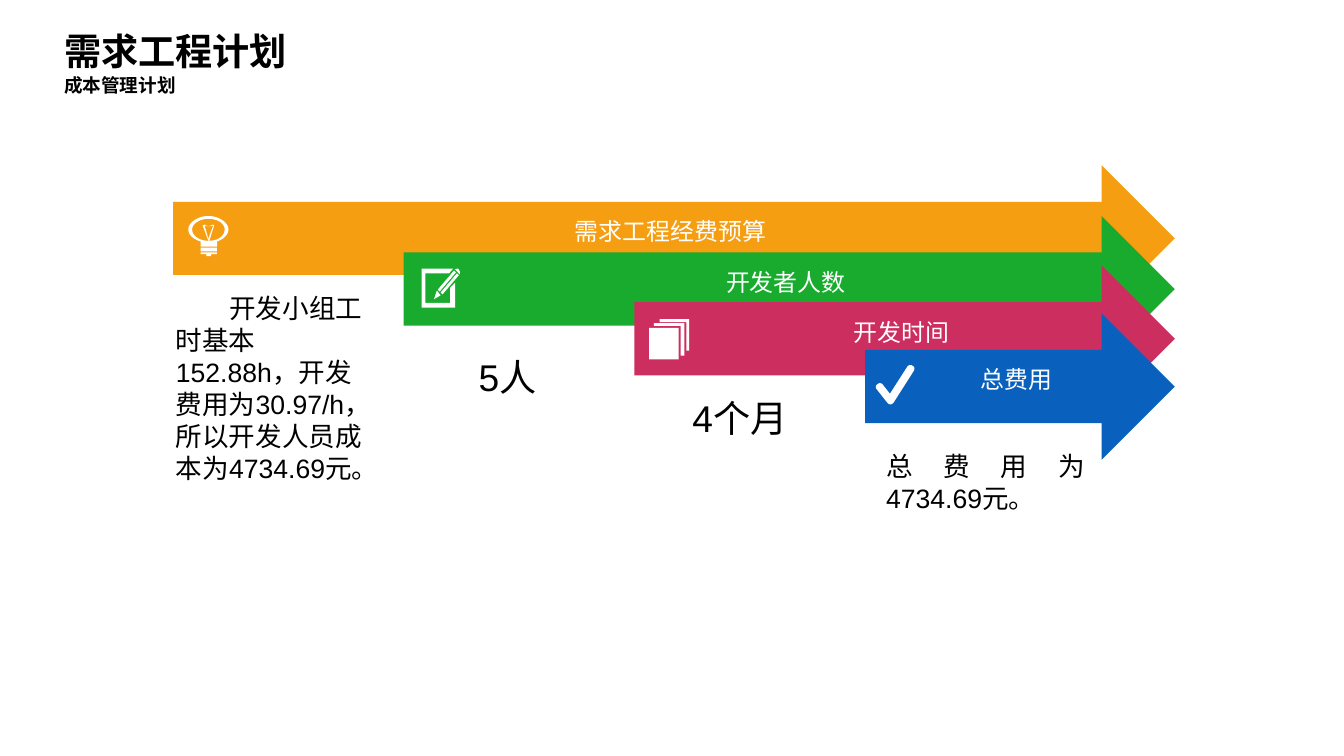
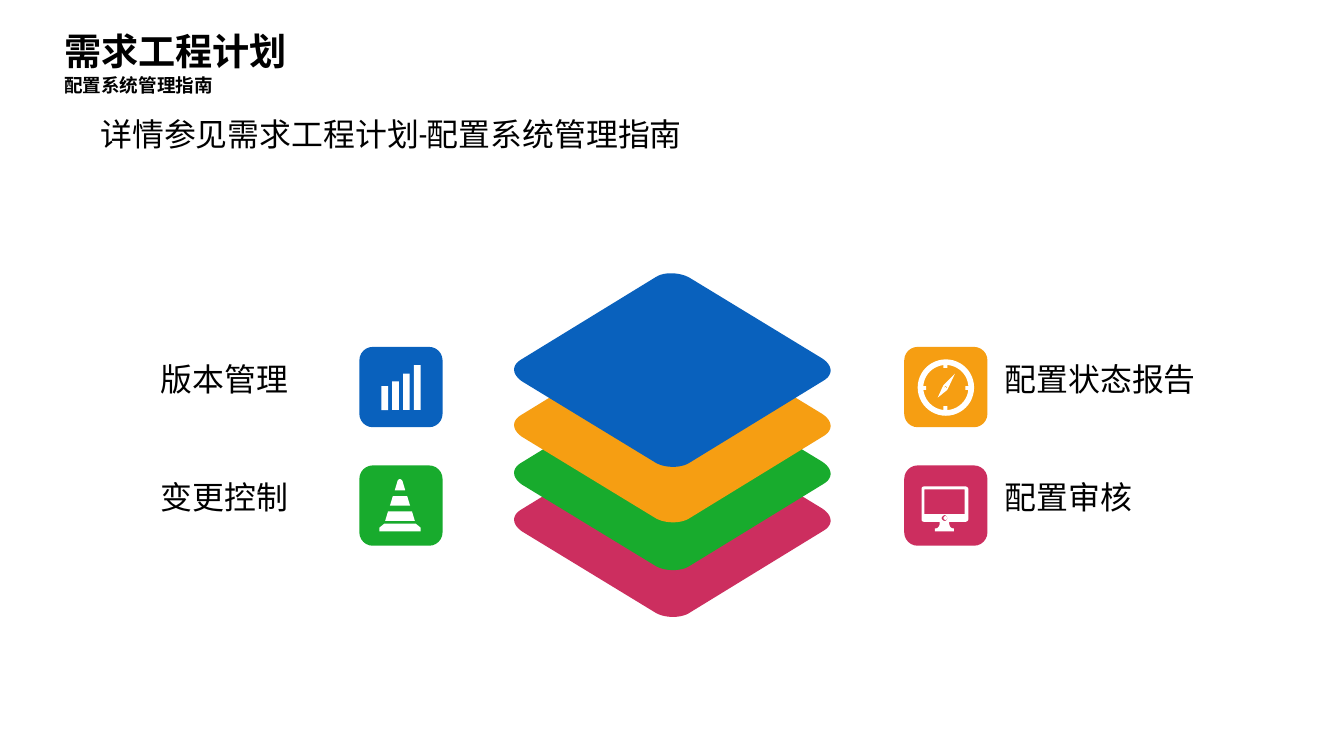
"""Build two slides on the cost and configuration plans of a requirements project."""
import dataclasses
import typing

import lxml.etree
import pptx
import pptx.dml.color
import pptx.enum.shapes
import pptx.enum.text
import pptx.oxml.ns
import pptx.util

Inches = pptx.util.Inches
RGBColor = pptx.dml.color.RGBColor
Shape = pptx.enum.shapes.MSO_SHAPE
Align = pptx.enum.text.PP_ALIGN
Anchor = pptx.enum.text.MSO_ANCHOR
AutoSize = pptx.enum.text.MSO_AUTO_SIZE

BLACK = RGBColor(0x00, 0x00, 0x00)
WHITE = RGBColor(0xFF, 0xFF, 0xFF)
ORANGE = RGBColor(0xF6, 0x9E, 0x12)
GREEN = RGBColor(0x18, 0xAB, 0x2D)
CRIMSON = RGBColor(0xCC, 0x2E, 0x5F)
BLUE = RGBColor(0x09, 0x61, 0xBD)

Contour = list[tuple[float, ...]]
Box = tuple[float, float, float, float]


@dataclasses.dataclass(frozen=True)
class TextStyle:
    size: float
    colour: RGBColor = BLACK
    bold: bool = False
    font: str = "Arial"
    align: Align = Align.LEFT
    spacing: float = 1.0
    indent: float = 0


@dataclasses.dataclass(frozen=True)
class Outline:
    contours: list[Contour]


@dataclasses.dataclass(frozen=True)
class Block:
    kind: Shape
    box: Box
    adjustment: float | None = None


@dataclasses.dataclass(frozen=True)
class CostStep:
    label: str
    arrow_top: float
    colour: RGBColor
    icon: list[Outline | Block]
    detail: str
    detail_box: Box
    detail_style: TextStyle


@dataclasses.dataclass(frozen=True)
class Topic:
    label: str
    label_left: float
    label_width: float
    badge_left: float
    top: float
    colour: RGBColor
    icon: list[Outline | Block]


HEADING = TextStyle(28, bold=True)
SUBHEADING = TextStyle(14, bold=True)
ARROW_LABEL = TextStyle(18, WHITE, align=Align.CENTER, spacing=1.2)
FIGURE = TextStyle(28, align=Align.CENTER, spacing=1.2)
TOPIC_LABEL = TextStyle(24, align=Align.JUSTIFY, spacing=1.2)
REFERENCE = TextStyle(24, font="Roboto Condensed")

NO_MARGINS: Box = (0, 0, 0, 0)
BOX_MARGINS: Box = (0.11, 0.05, 0.11, 0.05)
ARROW_MARGINS: Box = (0.59, 0, 0.28, 0.21)
ARROW_LEFT, ARROW_LAST, ARROW_TIP, ARROW_HEIGHT = 1.81, 9.05, 12.29, 1.53
BADGE_WIDTH, BADGE_HEIGHT = 0.87, 0.84

BULB = [
    Outline([
        [(2.39, 2.4), (2.39, 2.33, 2.29, 2.26, 2.18, 2.26), (2.07, 2.26, 1.97, 2.33, 1.97, 2.4),
         (1.97, 2.46, 2.03, 2.51, 2.11, 2.53), (2.1, 2.53), (2.1, 2.58), (2.27, 2.58),
         (2.27, 2.53), (2.26, 2.53), (2.33, 2.51, 2.39, 2.46, 2.39, 2.4)],
        [(2.18, 2.52), (2.09, 2.52, 2.01, 2.47, 2.01, 2.4), (2.01, 2.34, 2.09, 2.29, 2.18, 2.29),
         (2.28, 2.29, 2.35, 2.34, 2.35, 2.4), (2.35, 2.47, 2.28, 2.52, 2.18, 2.52)],
    ]),
    Block(Shape.RECTANGLE, (2.1, 2.59, 0.17, 0.04)),
    Outline([[(2.1, 2.66), (2.16, 2.66), (2.16, 2.68), (2.21, 2.68), (2.21, 2.66),
              (2.27, 2.66), (2.27, 2.64), (2.1, 2.64)]]),
    Outline([
        [(2.24, 2.36), (2.23, 2.35), (2.18, 2.37), (2.14, 2.35), (2.12, 2.36),
         (2.18, 2.52), (2.19, 2.52)],
        [(2.18, 2.5), (2.14, 2.36), (2.18, 2.37), (2.23, 2.36)],
    ]),
]
PENCIL = [
    Outline([[(4.61, 3.09), (4.57, 3.04), (4.54, 3.13)]]),
    Outline([[(4.75, 2.83), (4.58, 3.03), (4.6, 3.05), (4.77, 2.85)]]),
    Outline([[(4.61, 3.06), (4.63, 3.08), (4.8, 2.88), (4.78, 2.86)]]),
    Outline([[(4.8, 2.82), (4.79, 2.8, 4.76, 2.82, 4.76, 2.82), (4.81, 2.87),
              (4.81, 2.87, 4.82, 2.85, 4.8, 2.82)]]),
    Outline([[(4.71, 3.17), (4.45, 3.17), (4.45, 2.86), (4.7, 2.86), (4.74, 2.81), (4.41, 2.81),
              (4.41, 3.22), (4.76, 3.22), (4.76, 2.96), (4.71, 3.01)]]),
]
SHEETS = [
    Outline([[(6.84, 3.41), (7.12, 3.41), (7.12, 3.72), (7.16, 3.72), (7.16, 3.38), (6.84, 3.38)]]),
    Outline([[(6.9, 3.34), (6.9, 3.37), (7.18, 3.37), (7.18, 3.67), (7.21, 3.67), (7.21, 3.34)]]),
    Block(Shape.RECTANGLE, (6.79, 3.43, 0.31, 0.33)),
]
CHECK = [
    Outline([[(9.31, 4.23), (9.3, 4.23, 9.29, 4.22, 9.28, 4.21), (9.17, 4.07),
              (9.16, 4.06, 9.16, 4.03, 9.18, 4.02), (9.2, 4, 9.23, 4.01, 9.24, 4.03),
              (9.31, 4.12), (9.49, 3.84), (9.5, 3.82, 9.53, 3.81, 9.55, 3.83),
              (9.57, 3.84, 9.57, 3.86, 9.56, 3.88), (9.35, 4.21),
              (9.34, 4.22, 9.33, 4.23, 9.32, 4.23)]]),
]
COMPASS = [
    Block(Shape.DONUT, (9.6, 3.76, 0.59, 0.59), 0.1),
    *(Block(Shape.RECTANGLE, (left, top, 0.04, 0.04))
      for left, top in ((9.87, 3.81), (9.87, 4.25), (9.65, 4.04), (10.1, 4.04))),
    Outline([
        [(9.81, 4.16), (9.86, 4.05), (9.87, 4.03), (9.99, 3.91), (9.92, 4.06), (9.91, 4.08)],
        [(9.89, 4.04), (9.91, 4.05), (9.89, 4.07), (9.88, 4.05)],
    ]),
    Block(Shape.OVAL, (9.88, 4.05, 0.02, 0.02)),
]
MONITOR = [
    Outline([
        [(10.1, 5.09), (9.67, 5.09), (9.65, 5.09, 9.64, 5.1, 9.64, 5.12), (9.64, 5.43),
         (9.64, 5.45, 9.65, 5.46, 9.67, 5.46), (9.83, 5.46), (9.83, 5.46, 9.84, 5.53, 9.78, 5.53),
         (9.78, 5.56), (9.98, 5.56), (9.98, 5.53), (9.92, 5.53, 9.93, 5.46, 9.93, 5.46),
         (10.1, 5.46), (10.11, 5.46, 10.13, 5.45, 10.13, 5.43), (10.13, 5.12),
         (10.13, 5.1, 10.11, 5.09, 10.1, 5.09)],
        [(9.85, 5.42), (9.85, 5.41, 9.87, 5.39, 9.88, 5.39), (9.9, 5.39, 9.91, 5.41, 9.91, 5.42),
         (9.91, 5.44, 9.9, 5.45, 9.88, 5.45), (9.87, 5.45, 9.85, 5.44, 9.85, 5.42)],
        [(10.09, 5.38), (9.67, 5.38), (9.67, 5.12), (10.09, 5.12)],
    ]),
    Block(Shape.OVAL, (9.87, 5.4, 0.04, 0.04)),
]
CONE = [
    Outline([
        [(4.4, 5.56), (3.97, 5.56), (3.97, 5.52), (4.02, 5.48), (4.35, 5.48), (4.4, 5.52)],
        [(4.03, 5.45), (4.06, 5.35), (4.31, 5.35), (4.34, 5.45)],
        [(4.08, 5.29), (4.11, 5.19), (4.26, 5.19), (4.29, 5.29)],
        [(4.16, 5.03), (4.16, 5.03, 4.18, 4.99, 4.21, 5.03), (4.24, 5.13), (4.13, 5.13)],
    ]),
]
BARS = [
    Block(Shape.RECTANGLE, (3.99 + 0.34 / 3 * index, 4.29 - height, 0.07, height))
    for index, height in enumerate((0.25, 0.3, 0.38, 0.47))
]
PLATE: Contour = [
    (0.09, 0.93), (1.51, 0.06), (1.6, 0, 1.77, 0.01, 1.87, 0.07),
    (3.25, 0.91), (3.36, 0.98, 3.37, 1.08, 3.27, 1.14),
    (1.85, 2.01), (1.76, 2.06, 1.59, 2.06, 1.49, 1.99),
    (0.11, 1.15), (0.01, 1.08, 0, 0.99, 0.09, 0.93),
]
PLATE_LEFT = 5.35
PLATES = [(4.41, CRIMSON), (3.92, GREEN), (3.42, ORANGE), (2.84, BLUE)]

COST_STEPS = [
    CostStep("需求工程经费预算", 1.73, ORANGE, BULB,
             "开发小组工时基本152.88h，开发费用为30.97/h，所以开发人员成本为4734.69元。",
             (1.73, 3.01, 2.3, 2.13), TextStyle(20, indent=0.56)),
    CostStep("开发者人数", 2.26, GREEN, PENCIL, "5人", (4.16, 3.56, 2.3, 0.67), FIGURE),
    CostStep("开发时间", 2.78, CRIMSON, SHEETS, "4个月", (6.59, 3.99, 2.3, 0.67), FIGURE),
    CostStep("总费用", 3.28, BLUE, CHECK, "总费用为4734.69元。",
             (9.16, 4.66, 2.3, 0.78), TextStyle(20, align=Align.JUSTIFY)),
]
TOPICS = [
    Topic("版本管理", 1.68, 1.94, 3.76, 3.63, BLUE, BARS),
    Topic("变更控制", 1.68, 1.94, 3.76, 4.87, GREEN, CONE),
    Topic("配置状态报告", 10.51, 2.1, 9.46, 3.63, ORANGE, COMPASS),
    Topic("配置审核", 10.51, 1.94, 9.46, 4.87, CRIMSON, MONITOR),
]


def write_text(shape: typing.Any, text: str, style: TextStyle, margins: Box,
               anchor: Anchor = Anchor.TOP, auto_size: AutoSize = AutoSize.SHAPE_TO_FIT_TEXT) -> None:
    frame = shape.text_frame
    frame.word_wrap = True
    frame.auto_size = auto_size
    frame.vertical_anchor = anchor
    (frame.margin_left, frame.margin_top,
     frame.margin_right, frame.margin_bottom) = map(Inches, margins)
    frame.text = text
    para = frame.paragraphs[0]
    para.alignment = style.align
    para.line_spacing = style.spacing
    para.space_before = pptx.util.Pt(0)
    properties = para._p.get_or_add_pPr()
    properties.set("marL", "0")
    properties.set("indent", str(Inches(style.indent)))
    lxml.etree.SubElement(properties, pptx.oxml.ns.qn("a:buNone"))
    para.font.name = style.font
    para.font.size = pptx.util.Pt(style.size)
    para.font.bold = style.bold
    para.font.color.rgb = style.colour


def add_text(page: typing.Any, box: Box, text: str, style: TextStyle, margins: Box) -> None:
    write_text(page.shapes.add_textbox(*map(Inches, box)), text, style, margins)


def paint(shape: typing.Any, colour: RGBColor) -> None:
    shape.shadow.inherit = False
    shape.fill.solid()
    shape.fill.fore_color.rgb = colour
    shape.line.fill.background()


def add_block(shapes: typing.Any, block: Block, colour: RGBColor) -> typing.Any:
    shape = shapes.add_shape(block.kind, *map(Inches, block.box))
    if block.adjustment is not None:
        shape.adjustments[0] = block.adjustment
    paint(shape, colour)
    return shape


def trace(contour: Contour, left: float, top: float, steps: int = 12) -> list[tuple[int, int]]:
    points = [contour[0]]
    for segment in contour[1:]:
        if len(segment) == 2:
            points.append(segment)
            continue
        start = points[-1]
        controls = [start, segment[:2], segment[2:4], segment[4:]]
        for step in range(1, steps + 1):
            t = step / steps
            weights = ((1 - t) ** 3, 3 * t * (1 - t) ** 2, 3 * t ** 2 * (1 - t), t ** 3)
            points.append(tuple(sum(weight * control[axis] for weight, control in zip(weights, controls))
                                for axis in (0, 1)))
    return [(Inches(left + x), Inches(top + y)) for x, y in points]


def add_outline(shapes: typing.Any, outline: Outline, colour: RGBColor,
                left: float = 0, top: float = 0) -> None:
    first, *others = [trace(contour, left, top) for contour in outline.contours]
    builder = shapes.build_freeform(*first[0], scale=1.0)
    builder.add_line_segments(first[1:], close=True)
    for points in others:
        builder.move_to(*points[0])
        builder.add_line_segments(points[1:], close=True)
    paint(builder.convert_to_shape(), colour)


def add_icon(page: typing.Any, parts: list[Outline | Block]) -> None:
    shapes = page.shapes.add_group_shape().shapes if len(parts) > 1 else page.shapes
    for part in parts:
        draw = add_block if isinstance(part, Block) else add_outline
        draw(shapes, part, WHITE)


def add_page(deck: typing.Any, subtitle: str) -> typing.Any:
    page = deck.slides.add_slide(deck.slide_layouts[1])
    headings = (
        (page.shapes.title, (0.67, 0.29, 3.37, 0.47), "需求工程计划", HEADING),
        (page.placeholders[1], (0.67, 0.77, 3.52, 0.24), subtitle, SUBHEADING),
    )
    for shape, box, text, style in headings:
        shape.left, shape.top, shape.width, shape.height = map(Inches, box)
        write_text(shape, text, style, NO_MARGINS, Anchor.MIDDLE)
    return page


def build_cost_page(deck: typing.Any) -> None:
    page = add_page(deck, "成本管理计划")
    stagger = (ARROW_LAST - ARROW_LEFT) / (len(COST_STEPS) - 1)
    for index, step in enumerate(COST_STEPS):
        left = ARROW_LEFT + stagger * index
        box = (left, step.arrow_top, ARROW_TIP - left, ARROW_HEIGHT)
        arrow = add_block(page.shapes, Block(Shape.RIGHT_ARROW, box), step.colour)
        write_text(arrow, step.label, ARROW_LABEL, ARROW_MARGINS, Anchor.MIDDLE, AutoSize.NONE)
        add_icon(page, step.icon)
    for step in COST_STEPS:
        add_text(page, step.detail_box, step.detail, step.detail_style, BOX_MARGINS)


def build_configuration_page(deck: typing.Any) -> None:
    page = add_page(deck, "配置系统管理指南")
    add_text(page, (1.05, 1.2, 6.41, 0.4), "详情参见需求工程计划-配置系统管理指南", REFERENCE, NO_MARGINS)
    for top, colour in PLATES:
        add_outline(page.shapes, Outline([PLATE]), colour, PLATE_LEFT, top)
    for topic in TOPICS:
        label_box = (topic.label_left, topic.top + 0.05, topic.label_width, 0.48)
        add_text(page, label_box, topic.label, TOPIC_LABEL, NO_MARGINS)
        badge_box = (topic.badge_left, topic.top, BADGE_WIDTH, BADGE_HEIGHT)
        add_block(page.shapes, Block(Shape.ROUNDED_RECTANGLE, badge_box), topic.colour)
        add_icon(page, topic.icon)


def main() -> None:
    deck = pptx.Presentation()
    deck.slide_width, deck.slide_height = Inches(14.06), Inches(7.91)
    build_cost_page(deck)
    build_configuration_page(deck)
    deck.save("out.pptx")


if __name__ == "__main__":
    main()
